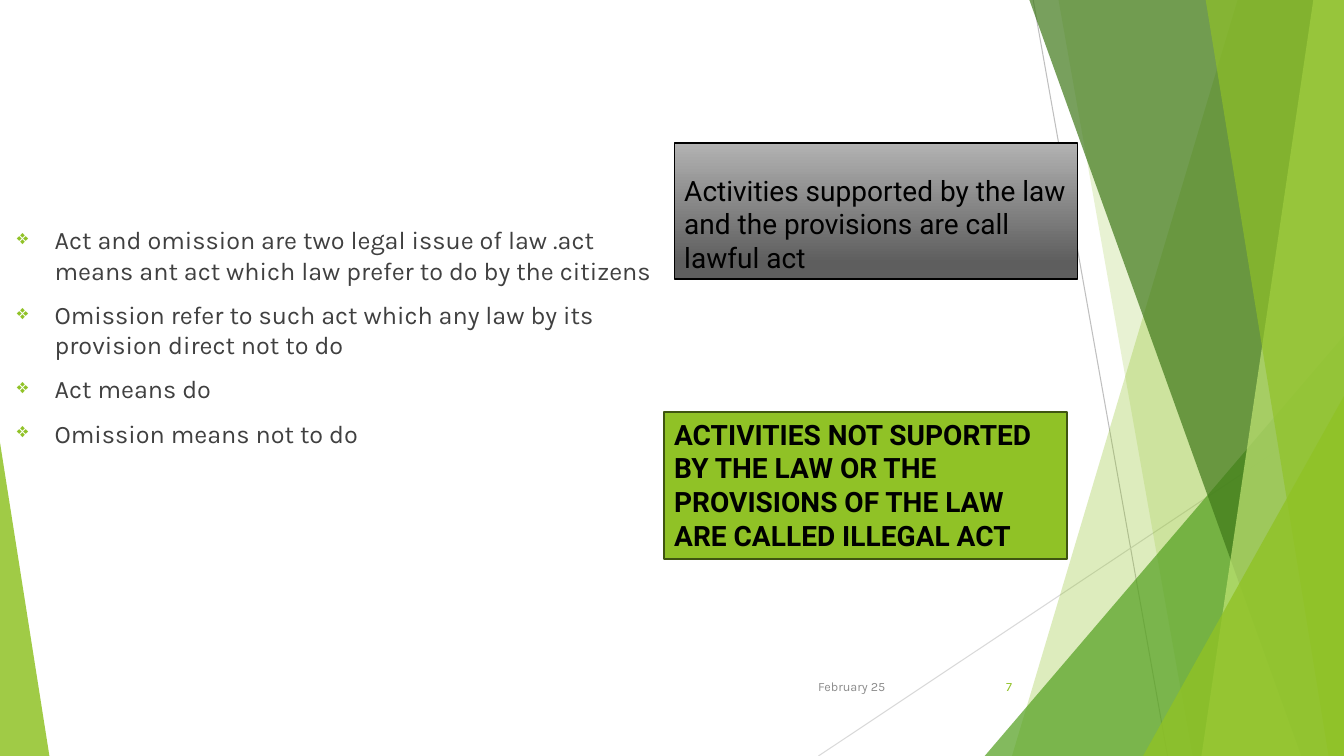
from lxml import etree
from pptx import Presentation
from pptx.dml.color import RGBColor
from pptx.enum.shapes import MSO_CONNECTOR, MSO_SHAPE
from pptx.enum.text import MSO_ANCHOR, PP_ALIGN
from pptx.oxml.ns import qn
from pptx.util import Pt

STRAIGHT = MSO_CONNECTOR.STRAIGHT
RECTANGLE, TRIANGLE = MSO_SHAPE.RECTANGLE, MSO_SHAPE.ISOSCELES_TRIANGLE
TOP, MIDDLE, BOTTOM = MSO_ANCHOR.TOP, MSO_ANCHOR.MIDDLE, MSO_ANCHOR.BOTTOM
LEFT, RIGHT = PP_ALIGN.LEFT, PP_ALIGN.RIGHT

LIME = RGBColor(0x90, 0xC2, 0x26)
PALE_LIME = RGBColor(0xC0, 0xE4, 0x74)
GREEN = RGBColor(0x54, 0xA0, 0x21)
DARK_GREEN = RGBColor(0x3F, 0x78, 0x19)
OLIVE = RGBColor(0x3F, 0x55, 0x11)
BLACK = RGBColor(0, 0, 0)
CHARCOAL = RGBColor(0x40, 0x40, 0x40)
GRAY = RGBColor(0x8C, 0x8C, 0x8C)
LIGHT_GRAY = RGBColor(0xBF, 0xBF, 0xBF)
PALE_GRAY = RGBColor(0xD9, 0xD9, 0xD9)
GRADIENT = [(0, RGBColor(0xB2, 0xB2, 0xB2)), (0.88, RGBColor(0x5E, 0x5E, 0x5E))]

WIDTH, HEIGHT = 960, 540
BAND_TOP = -0.6

LAWFUL = "Activities supported by the law and the provisions are call lawful act"
ILLEGAL = ("ACTIVITIES NOT SUPORTED BY THE LAW OR THE PROVISIONS OF THE LAW "
           "ARE CALLED ILLEGAL ACT")
POINTS = [
    "Act and omission are two legal issue of law .act means ant act which law "
    "prefer to do by the citizens",
    "Omission refer to such act which any law by its provision direct not to do",
    "Act means do",
    "Omission means not to do",
]
DATE, PAGE = "February 25", "7"

# (x1, y1, x2, y2, colour)
HAIRLINES = [
    (738, 0, 834, HEIGHT, LIGHT_GRAY),
    (WIDTH, 290, 584.6, HEIGHT, PALE_GRAY),
]
# Back to front. Band: left edge at top and at bottom, reaching the right side.
# Wedge: left, top, width, apex position, standing on the bottom side.
FACETS = [
    ("band", (884.2, 722.9), LIME, 30),
    ("band", (756, 851.8), LIME, 20),
    ("wedge", (703.4, 239.8, 256.6, 1), GREEN, 72),
    ("band", (735.1, 929.5), DARK_GREEN, 70),
    ("band", (938.2, 858.2), PALE_LIME, 70),
    ("band", (861.1, 949), LIME, 65),
    ("wedge", (816.5, 283, 143.5, 1), LIME, 80),
    ("wedge", (0, 316.1, 35.3, 0), LIME, 85),
]

prs = Presentation()
prs.slide_width, prs.slide_height = Pt(WIDTH), Pt(HEIGHT)
slide = prs.slides.add_slide(prs.slide_layouts[6])
shapes = slide.shapes


def add_hairline(x1, y1, x2, y2, color):
    hairline = shapes.add_connector(STRAIGHT, Pt(x1), Pt(y1), Pt(x2), Pt(y2))
    hairline.line.color.rgb = color
    hairline.line.width = Pt(0.75)
    etree.SubElement(hairline._element.spPr, qn("a:effectLst"))


def add_band(top_x, bottom_x):
    builder = shapes.build_freeform(Pt(top_x), Pt(BAND_TOP), scale=1.0)
    corners = [(WIDTH, BAND_TOP), (WIDTH, HEIGHT), (bottom_x, HEIGHT)]
    builder.add_line_segments([(Pt(x), Pt(y)) for x, y in corners], close=True)
    return builder.convert_to_shape()


def add_wedge(left, top, width, apex):
    wedge = shapes.add_shape(TRIANGLE, Pt(left), Pt(top), Pt(width), Pt(HEIGHT - top))
    wedge.adjustments[0] = apex
    return wedge


def paint_facet(facet, color, opacity):
    facet.shadow.inherit = False
    facet.line.fill.background()
    facet.fill.solid()
    facet.fill.fore_color.rgb = color
    srgb = facet._element.spPr.find(qn("a:solidFill")).find(qn("a:srgbClr"))
    etree.SubElement(srgb, qn("a:alpha"), val=str(opacity * 1000))


def add_panel(left, top, width, height, line_color, line_width):
    panel = shapes.add_shape(RECTANGLE, Pt(left), Pt(top), Pt(width), Pt(height))
    panel.shadow.inherit = False
    panel.line.color.rgb = line_color
    panel.line.width = Pt(line_width)
    return panel


def add_box(left, top, width, height):
    return shapes.add_textbox(Pt(left), Pt(top), Pt(width), Pt(height))


def write(shape, lines, font, size, color, anchor=TOP, align=LEFT, bold=False, before=0):
    frame = shape.text_frame
    frame.word_wrap = True
    frame.vertical_anchor = anchor
    frame.text = "\n".join(lines)
    for paragraph in frame.paragraphs:
        paragraph.alignment = align
        paragraph.space_before = Pt(before)
        paragraph.font.name = font
        paragraph.font.size = Pt(size)
        paragraph.font.bold = bold
        paragraph.font.color.rgb = color


def add_bullet(paragraph):
    props = paragraph._p.get_or_add_pPr()
    props.set("marL", str(Pt(27)))
    props.set("indent", str(Pt(-27)))
    bullet_color = etree.Element(qn("a:buClr"))
    etree.SubElement(bullet_color, qn("a:srgbClr"), val=str(LIME))
    bullet_size = etree.Element(qn("a:buSzPct"), val="80000")
    bullet_char = etree.Element(qn("a:buChar"), char="❖")
    defaults = props.find(qn("a:defRPr"))
    for part in (bullet_color, bullet_size, bullet_char):
        defaults.addprevious(part)


for hairline_spec in HAIRLINES:
    add_hairline(*hairline_spec)
for kind, geometry, color, opacity in FACETS:
    facet = add_band(*geometry) if kind == "band" else add_wedge(*geometry)
    paint_facet(facet, color, opacity)

lawful = add_panel(481.7, 102.2, 288, 97.2, BLACK, 1)
lawful.fill.gradient()
lawful.fill.gradient_angle = 270
for stop, (position, color) in zip(lawful.fill.gradient_stops, GRADIENT):
    stop.position = position
    stop.color.rgb = color
write(lawful, [LAWFUL], "Roboto", 20, BLACK, anchor=BOTTOM)

points = add_box(5, 157, 468, 249)
write(points, POINTS, "Karla", 18, CHARCOAL, before=10)
for point in points.text_frame.paragraphs:
    add_bullet(point)

illegal = add_panel(474.5, 294.5, 288, 105, OLIVE, 1.5)
illegal.fill.solid()
illegal.fill.fore_color.rgb = LIME
write(illegal, [ILLEGAL], "Roboto", 20, BLACK, bold=True, before=10)

write(add_box(567.4, 476, 72, 28.8), [DATE], "Karla", 9, GRAY, MIDDLE, RIGHT)
write(add_box(676, 476, 54, 28.8), [PAGE], "Karla", 9, LIME, MIDDLE, RIGHT)

prs.save("out.pptx")
